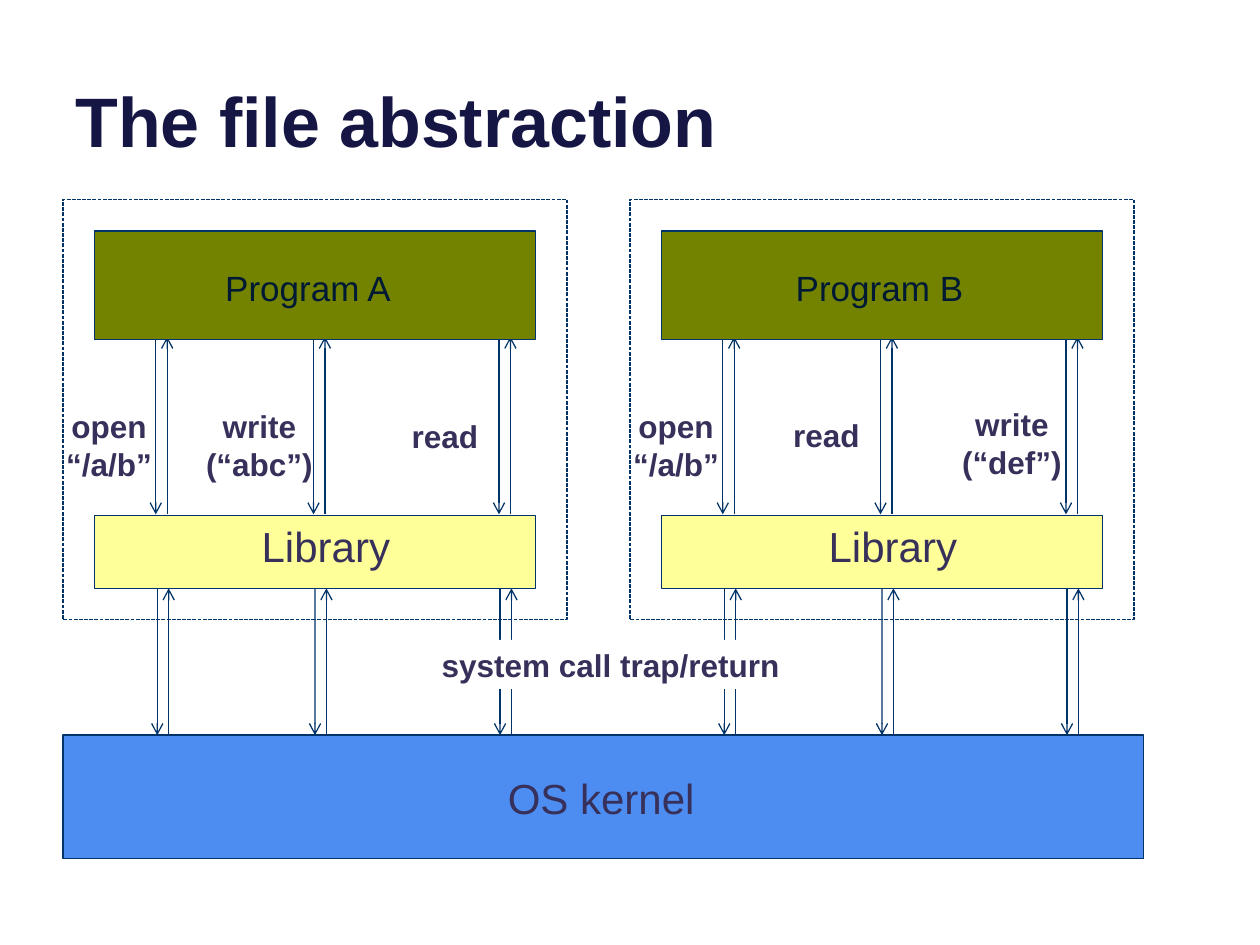
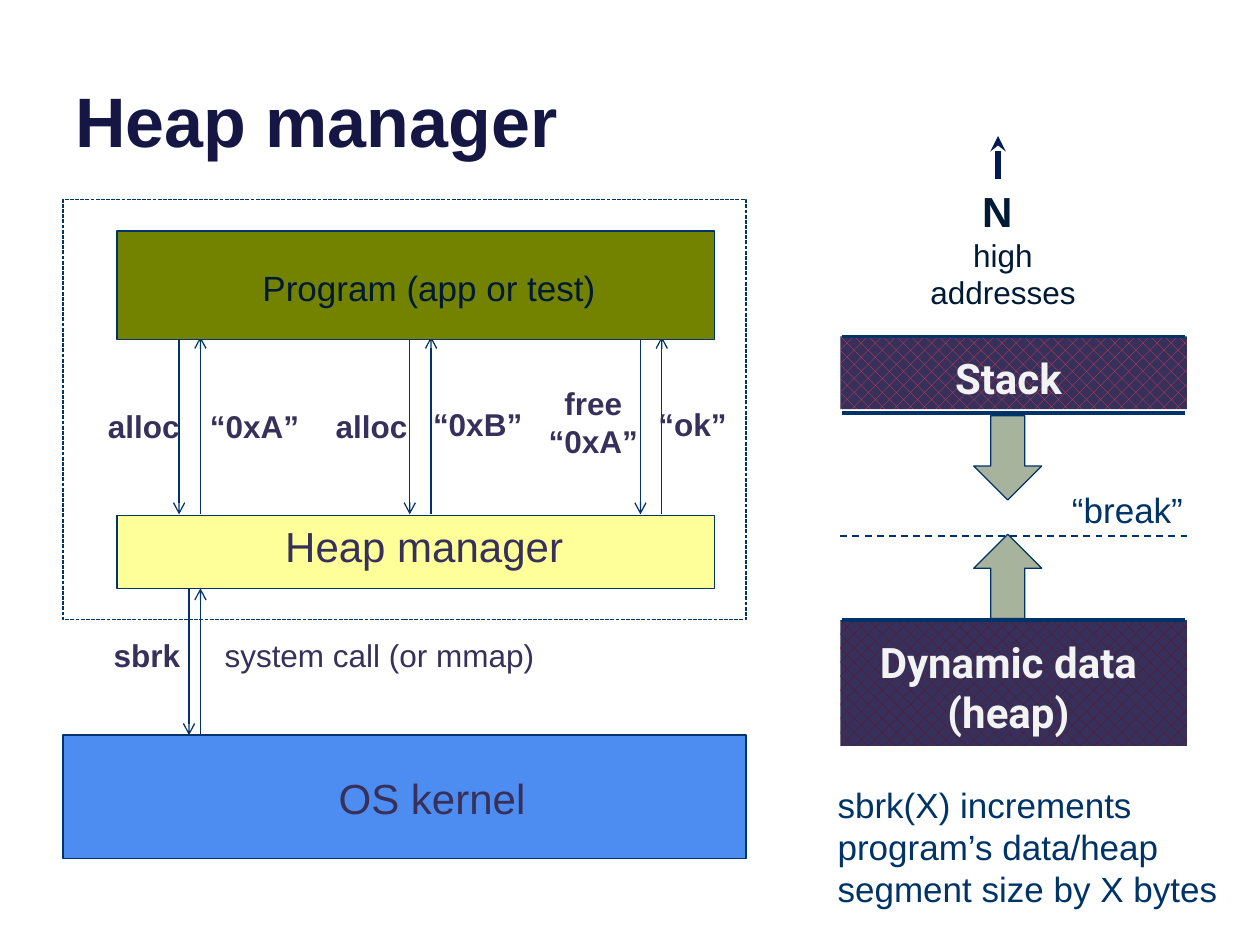
import pptx
import pptx.util
import pptx.dml.color
import pptx.enum.dml
import pptx.enum.shapes
import pptx.enum.text
import pptx.oxml
import pptx.oxml.ns

Cm, Pt = pptx.util.Cm, pptx.util.Pt
SHAPE = pptx.enum.shapes.MSO_SHAPE
ALIGN = pptx.enum.text.PP_ALIGN
DASH = pptx.enum.dml.MSO_LINE

TITLE, INK, DARK, EDGE = "161645", "37305A", "001934", "003367"
OLIVE, YELLOW, BLUE, SAGE = "738300", "FFFF99", "4D8CF1", "A8B39D"
WHITE, PALE, NAVY = "FFFFFF", "F3F3F3", "001B53"

LEFT, FRAME_TOP, FRAME_H = 1.27, 4.02, 8.47
MARGIN = 0.64
KERNEL_TOP, KERNEL_H = 14.82, 2.49
LIBRARY_BOTTOM = 11.86
PAIR_GAP = 0.23


def rgb(color):
    return pptx.dml.color.RGBColor.from_string(color)


def box(s, x, y, w, h, fill=None, line=EDGE, kind=SHAPE.RECTANGLE):
    sp = s.shapes.add_shape(kind, Cm(x), Cm(y), Cm(w), Cm(h))
    sp.shadow.inherit = False
    if fill:
        sp.fill.solid()
        sp.fill.fore_color.rgb = rgb(fill)
    else:
        sp.fill.background()
    if line:
        sp.line.color.rgb = rgb(line)
        sp.line.width = Pt(0.75)
    else:
        sp.line.fill.background()
    return sp


def hatched(s, x, y, w, h, fore):
    sp = box(s, x, y, w, h, line=None)
    sp.fill.patterned()
    sp.fill.pattern = pptx.enum.dml.MSO_PATTERN.PERCENT_25
    sp.fill.fore_color.rgb = rgb(fore)
    sp.fill.back_color.rgb = rgb(INK)


def line(s, x1, y1, x2, y2, width=0.75, color=EDGE, head=None, dash=None):
    cn = s.shapes.add_connector(pptx.enum.shapes.MSO_CONNECTOR.STRAIGHT,
                                Cm(x1), Cm(y1), Cm(x2), Cm(y2))
    cn.line.color.rgb = rgb(color)
    cn.line.width = Pt(width)
    if dash:
        cn.line.dash_style = dash
    props = cn._element.spPr
    if head:
        tail = pptx.oxml.parse_xml(
            f'<a:tailEnd {pptx.oxml.ns.nsdecls("a")} type="{head}"/>')
        props.find(pptx.oxml.ns.qn("a:ln")).append(tail)
    props.append(pptx.oxml.parse_xml(
        f'<a:effectLst {pptx.oxml.ns.nsdecls("a")}/>'))
    return cn


def label(s, text, cx, y, w, size=18, color=INK, bold=False, font="Arial",
          align=ALIGN.CENTER, wrap=False):
    """Text box centred on cx, with one paragraph per line of text."""
    h = (text.count("\n") + 1) * size * 0.041 + 0.25
    sp = s.shapes.add_textbox(Cm(cx - w / 2), Cm(y), Cm(w), Cm(h))
    tf = sp.text_frame
    tf.text = text
    tf.word_wrap = wrap
    tf.auto_size = pptx.enum.text.MSO_AUTO_SIZE.SHAPE_TO_FIT_TEXT
    for p in tf.paragraphs:
        p.alignment = align
        p.font.name, p.font.size, p.font.bold = font, Pt(size), bold
        p.font.color.rgb = rgb(color)
    return sp


def titled_slide(prs, title):
    s = prs.slides.add_slide(prs.slide_layouts[6])
    sp = s.shapes.add_textbox(Cm(LEFT), Cm(-0.94), Cm(22.86), Cm(4.32))
    tf = sp.text_frame
    tf.word_wrap = True
    tf.vertical_anchor = pptx.enum.text.MSO_ANCHOR.BOTTOM
    p = tf.paragraphs[0]
    p.text = title
    p.font.name, p.font.size, p.font.bold = "Arial", Pt(40), True
    p.font.color.rgb = rgb(TITLE)
    return s


def call_pairs(s, xs, top, bottom, gap=PAIR_GAP):
    """Call and return arrows side by side; gives back the call arrows."""
    calls = []
    for x in xs:
        calls.append(line(s, x, top, x, bottom, head="arrow"))
        line(s, x + gap, bottom, x + gap, top, head="arrow")
    return calls


def process(s, x, w, program, library, lanes, calls, inset=MARGIN,
            gap=PAIR_GAP):
    """Dashed frame with a program above its library; returns the library.

    program and library are (text, centre, width); calls adds the top.
    """
    y = FRAME_TOP
    call_pairs(s, [x + lane for lane in lanes], y + 2.77, y + 6.35, gap)
    inner = w - inset - MARGIN
    lib = box(s, x + inset, y + 6.37, inner, 1.48, YELLOW)
    box(s, x + inset, y + MARGIN, inner, 2.18, OLIVE)
    text, cx, width = program
    label(s, text, x + cx, y + 1.22, width, 20, DARK)
    text, cx, width = library
    label(s, text, x + cx, y + 6.35, width, 24)
    box(s, x, y, w, FRAME_H).line.dash_style = DASH.SQUARE_DOT
    for text, cx, top, width in calls:
        label(s, text, x + cx, y + top, width, bold=True)
    return lib


def kernel(s, w, cx):
    box(s, LEFT, KERNEL_TOP, w, KERNEL_H, BLUE)
    label(s, "OS kernel", LEFT + cx, KERNEL_TOP + 0.63, 4.32, 24)


def address_space(s, x, y, w):
    """Stack and heap growing towards each other, under a north arrow."""
    line(s, x + 3.18, y + 0.87, x + 3.18, y, 3, NAVY, head="stealth")
    north = label(s, "N \nhigh addresses", x + 3.28, y + 0.87, 4.01,
                  color=DARK, wrap=True)
    p = north.text_frame.paragraphs[0]
    p.font.size, p.font.bold = Pt(24), True

    hatched(s, x, y + 9.76, w, 2.54, "651222")
    hatched(s, x, y + 4.04, w, 1.47, "E5405D")
    for top in (4.04, 5.59, 9.76):
        line(s, x + 0.03, y + top, x + w - 0.05, y + top, 2)
    line(s, x, y + 8.06, x + w, y + 8.06, 1, dash=DASH.DASH)
    for text, top, width in (("Dynamic data\n(heap)", 9.96, 6.07),
                             ("Stack", 4.25, 2.79)):
        label(s, text, x + 3.39, y + top, width, 24, PALE, True, "Roboto")
    for kind, top in ((SHAPE.DOWN_ARROW, 5.64), (SHAPE.UP_ARROW, 8.03)):
        box(s, x + 2.69, y + top, 1.37, 1.7, SAGE, kind=kind)
    label(s, "“break”", x + 5.79, y + 6.99, 7.87, 20, EDGE, wrap=True)
    label(s, "sbrk(X) increments program’s data/heap segment size by X bytes",
          x + 3.91, y + 12.93, 8.43, 20, EDGE, align=ALIGN.LEFT, wrap=True)


def file_slide(prs):
    s = titled_slide(prs, "The file abstraction")
    kernel(s, 21.79, 10.85)
    open_call = ("open\n“/a/b”", 0.93, 4.06, 2.26)
    programs = [
        (LEFT, ("Program A", 4.94, 3.94),
         [open_call, ("write\n(“abc”)", 3.96, 4.06, 2.69),
          ("read", 7.7, 4.26, 1.88)]),
        (12.7, ("Program B", 5.03, 3.91),
         [open_call, ("read", 3.96, 4.24, 1.88),
          ("write\n(“def”)", 7.7, 4.03, 2.54)]),
    ]
    for x, program, calls in programs:
        lib = process(s, x, 10.16, program, ("Library", 5.3, 3.12),
                      (1.87, 5.05, 8.79), calls)
        traps = call_pairs(s, [x + lane for lane in (1.9, 5.08, 8.81)],
                           LIBRARY_BOTTOM, KERNEL_TOP)
        traps[1].begin_connect(lib, 2)
    sp = label(s, "system call trap/return", 12.31, 12.9, 7.39, bold=True)
    sp.fill.solid()
    sp.fill.fore_color.rgb = rgb(WHITE)


def heap_slide(prs):
    s = titled_slide(prs, "Heap manager")
    width = 13.77
    kernel(s, width, 7.44)
    calls = [("alloc", 1.63, 4.06, 1.98), ("“0xA”", 3.86, 4.06, 2.34),
             ("alloc", 6.22, 4.06, 1.98), ("“0xB”", 8.36, 4.03, 2.34),
             ("free\n“0xA”", 10.69, 3.6, 2.34), ("“ok”", 12.69, 4.03, 1.9)]
    process(s, LEFT, width, ("Program (app or test)", 7.38, 7.29),
            ("Heap manager", 7.28, 6.17),
            [2.34 + 4.65 * i for i in range(3)], calls, inset=1.09, gap=0.43)
    call_pairs(s, [3.81], LIBRARY_BOTTOM, KERNEL_TOP)
    label(s, "sbrk", 2.96, 12.7, 1.9, bold=True)
    label(s, "system call (or mmap)", 7.65, 12.7, 6.81)
    address_space(s, 16.94, 2.74, 6.99)


def main():
    prs = pptx.Presentation()
    prs.slide_width, prs.slide_height = Cm(25.4), Cm(19.05)
    file_slide(prs)
    heap_slide(prs)
    prs.save("out.pptx")


if __name__ == "__main__":
    main()
